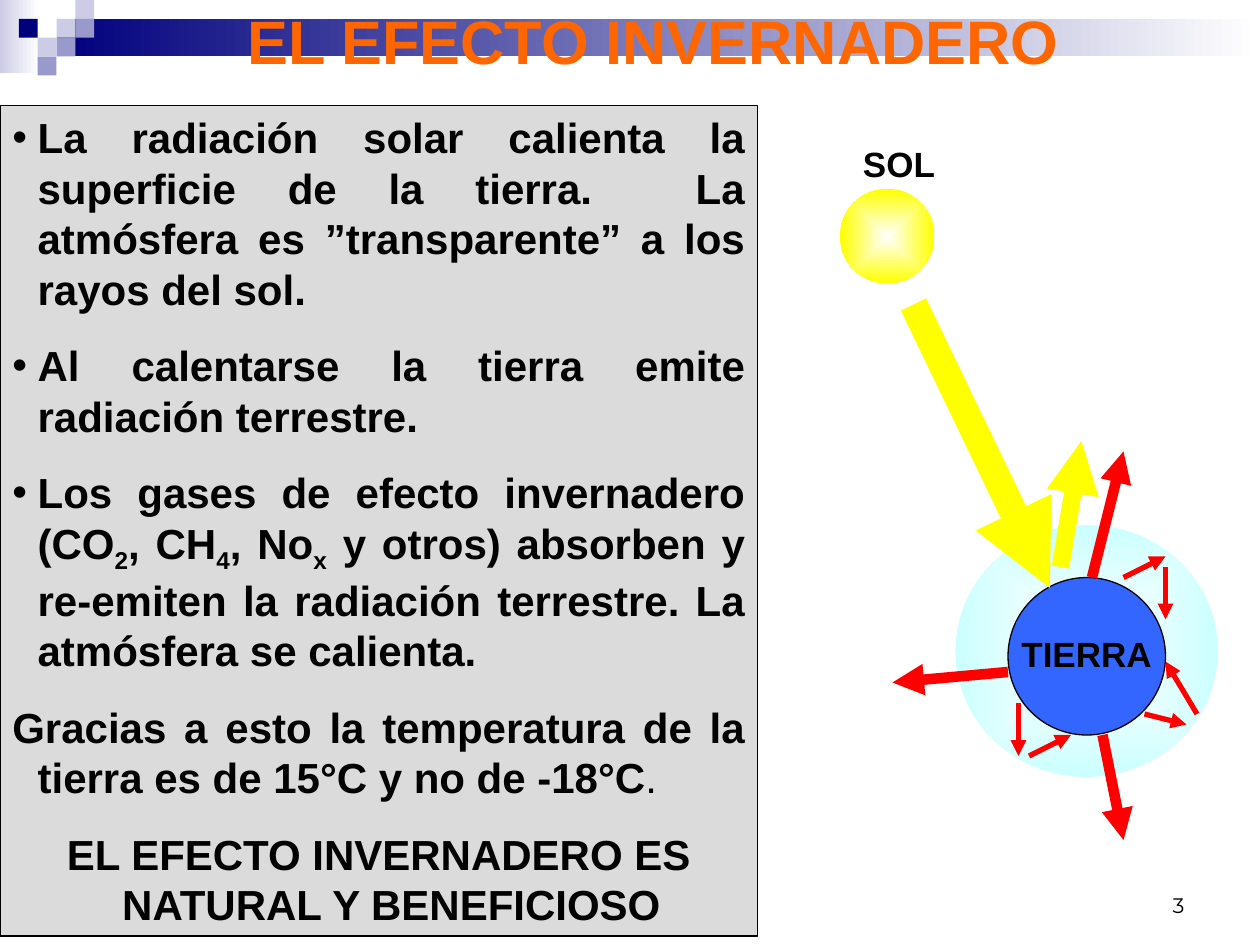
import lxml.etree
import pptx
import pptx.dml.color
import pptx.enum.shapes
import pptx.enum.text
import pptx.oxml.ns
import pptx.util

Cm, Pt = pptx.util.Cm, pptx.util.Pt
SHAPE = pptx.enum.shapes.MSO_SHAPE
ALIGN = pptx.enum.text.PP_ALIGN
ANCHOR = pptx.enum.text.MSO_ANCHOR
COLORS = {
    "white": "FFFFFF", "black": "000000", "navy": "00007D", "lilac": "CCCCE6",
    "violet": "9999CC", "orange": "FF6600", "blue": "3366FF", "yellow": "FFFF00",
    "red": "FF0000", "air": "CCFFFF", "gray": "C0C0C0",
}
GRID = 2.54 / 12


def rgb(name):
    return pptx.dml.color.RGBColor.from_string(COLORS[name])


def add_element(parent, tag, **attributes):
    element = lxml.etree.SubElement(parent, pptx.oxml.ns.qn(tag))
    for key, value in attributes.items():
        element.set(key, value)
    return element


def apply_format(target, values):
    for key, value in values.items():
        setattr(target, key, value)


def add_block(slide, kind, box, fill, line=None, alpha=None):
    shape = slide.shapes.add_shape(kind, *(Cm(value) for value in box))
    shape.shadow.inherit = False
    shape.fill.solid()
    shape.fill.fore_color.rgb = rgb(fill)
    if alpha:
        color = shape._element.spPr.find(".//" + pptx.oxml.ns.qn("a:srgbClr"))
        add_element(color, "a:alpha", val=str(alpha * 1000))
    if line:
        shape.line.color.rgb = rgb(line)
        shape.line.width = Pt(0.75)
    else:
        shape.line.fill.background()
    return shape


def add_gradient(slide, kind, box, start, end, centred=False):
    shape = add_block(slide, kind, box, start)
    shape.fill.gradient()
    shape.fill.gradient_angle = 0
    for stop, name, position in zip(shape.fill.gradient_stops, (start, end), (0, 1)):
        stop.color.rgb = rgb(name)
        stop.position = position
    if centred:
        gradient = shape._element.spPr.find(pptx.oxml.ns.qn("a:gradFill"))
        gradient.remove(gradient.find(pptx.oxml.ns.qn("a:lin")))
        shading = add_element(gradient, "a:path", path="rect")
        add_element(shading, "a:fillToRect", **dict.fromkeys("ltrb", "50000"))


def add_run(paragraph, text, size, color="black", bold=True, name="Arial", baseline=None):
    run = paragraph.add_run()
    run.text = text
    apply_format(run.font, {"size": Pt(size), "bold": bold, "name": name})
    run.font.color.rgb = rgb(color)
    if baseline:
        run._r.get_or_add_rPr().set("baseline", str(baseline * 1000))


def add_label(slide, box, text, align, anchor, **font):
    shape = slide.shapes.add_textbox(*(Cm(value) for value in box))
    apply_format(shape.text_frame, {"word_wrap": True, "vertical_anchor": anchor})
    paragraph = shape.text_frame.paragraphs[0]
    paragraph.alignment = align
    add_run(paragraph, text, **font)


def add_arrow(slide, start, end, color, width):
    points = (Cm(value) for value in (*start, *end))
    arrow = slide.shapes.add_connector(pptx.enum.shapes.MSO_CONNECTOR.STRAIGHT, *points)
    arrow.line.color.rgb = rgb(color)
    arrow.line.width = Pt(width)
    add_element(arrow.line._get_or_add_ln(), "a:tailEnd", type="triangle")
    add_element(arrow._element.spPr, "a:effectLst")


def add_header(slide, left, top, width, height):
    square = 0.38
    add_gradient(slide, SHAPE.RECTANGLE, (left, top, 0.79, height), "lilac", "white")
    bar_left = left + 3 * square
    bar = (bar_left, top + square, width - bar_left, 2 * square)
    add_gradient(slide, SHAPE.RECTANGLE, bar, "navy", "white")
    tiles = [(3, 1, "lilac"), (4, 0, "lilac"), (4, 1, "violet"), (2, 2, "lilac"),
             (1, 1, "navy"), (3, 2, "violet"), (2, 3, "violet")]
    for column, row, color in tiles:
        box = (left + column * square, top + row * square, square, square)
        add_block(slide, SHAPE.RECTANGLE, box, color)
    add_label(slide, (left + 2.69, top, 20.96, 1.6), "EL EFECTO INVERNADERO",
              ALIGN.CENTER, ANCHOR.MIDDLE, size=35, color="orange")


def add_explanation(slide, left, top, width, height):
    panel = add_block(slide, SHAPE.RECTANGLE, (left, top, width, height), "gray", "black", 57)
    frame = panel.text_frame
    apply_format(frame, {"word_wrap": True, "vertical_anchor": ANCHOR.TOP})
    subscript = {"baseline": -25}
    paragraphs = [
        (ALIGN.JUSTIFY, True, [
            ("La radiación solar calienta la superficie de la tierra.  "
             "La atmósfera es ”transparente” a los rayos del sol.", {})]),
        (ALIGN.JUSTIFY, True, [("Al calentarse la tierra emite radiación terrestre.", {})]),
        (ALIGN.JUSTIFY, True, [
            ("Los gases de efecto invernadero (CO", {}), ("2", subscript),
            (", CH", {}), ("4", subscript), (", No", {}), ("x", subscript),
            (" y otros) absorben y re-emiten la radiación terrestre. "
             "La atmósfera se calienta.", {})]),
        (ALIGN.JUSTIFY, False, [
            ("Gracias a esto la temperatura de la tierra es de 15°C y no de -18°C", {}),
            (".", {"bold": False})]),
        (ALIGN.CENTER, False, [("EL EFECTO INVERNADERO ES NATURAL Y BENEFICIOSO", {})]),
    ]
    for index, (align, bulleted, runs) in enumerate(paragraphs):
        paragraph = frame.add_paragraph() if index else frame.paragraphs[0]
        properties = paragraph._p.get_or_add_pPr()
        properties.set("marL", str(Cm(0.51)))
        properties.set("indent", str(Cm(-0.51)))
        if bulleted:
            bullet_color = add_element(properties, "a:buClr")
            add_element(bullet_color, "a:srgbClr", val=COLORS["black"])
            add_element(properties, "a:buFont", typeface="Arial")
            add_element(properties, "a:buChar", char="•")
        apply_format(paragraph, {"alignment": align, "space_before": Pt(15 if index else 0)})
        for text, font in runs:
            add_run(paragraph, text, 24, **font)


def add_diagram(slide, left, top):
    def place(column, row):
        return left + column * GRID, top + row * GRID

    def area(column, row, columns, rows):
        return *place(column, row), columns * GRID, rows * GRID

    add_gradient(slide, SHAPE.OVAL, area(13, 38, 25, 24), "white", "air", True)
    add_block(slide, SHAPE.OVAL, area(18, 43, 15, 15), "blue", "black")
    add_gradient(slide, SHAPE.OVAL, area(2, 6, 9, 9), "white", "yellow", True)
    arrows = [
        ("yellow", 16, [(9, 17, 22, 44)]),
        ("red", 6, [(26, 43, 29, 31), (27, 58, 29, 68), (18, 52, 7, 53)]),
        ("red", 3, [(19, 55, 19, 60), (20, 60, 24, 58), (31, 56, 35, 57),
                    (36, 56, 33, 51), (33, 42, 33, 47), (29, 43, 33, 41)]),
        ("yellow", 10, [(23, 42, 25, 30)]),
    ]
    for color, width, rays in arrows:
        for ray in rays:
            add_arrow(slide, place(*ray[:2]), place(*ray[2:]), color, width)
    earth = add_block(slide, SHAPE.RECTANGLE, area(18.8, 47.2, 13.4, 6), "blue")
    apply_format(earth.text_frame, {"word_wrap": False, "vertical_anchor": ANCHOR.MIDDLE})
    paragraph = earth.text_frame.paragraphs[0]
    paragraph.alignment = ALIGN.CENTER
    add_run(paragraph, "TIERRA", 20)
    add_label(slide, area(3, 1, 10, 5.3), "SOL", ALIGN.LEFT, ANCHOR.TOP, size=20)


def add_page_number(slide, *box):
    add_label(slide, box, "3", ALIGN.RIGHT, ANCHOR.BOTTOM,
              size=12, bold=False, name="Montserrat")


def main():
    presentation = pptx.Presentation()
    apply_format(presentation, {"slide_width": Cm(25.4), "slide_height": Cm(19.05)})
    slide = presentation.slides.add_slide(presentation.slide_layouts[6])
    add_header(slide, 0, 0, 25.4, 1.47)
    add_page_number(slide, 18.21, 17.35, 5.92, 1.27)
    add_explanation(slide, 0, 2.13, 15.27, 16.74)
    add_diagram(slide, 16.51, 2.54)
    presentation.save("out.pptx")


if __name__ == "__main__":
    main()
